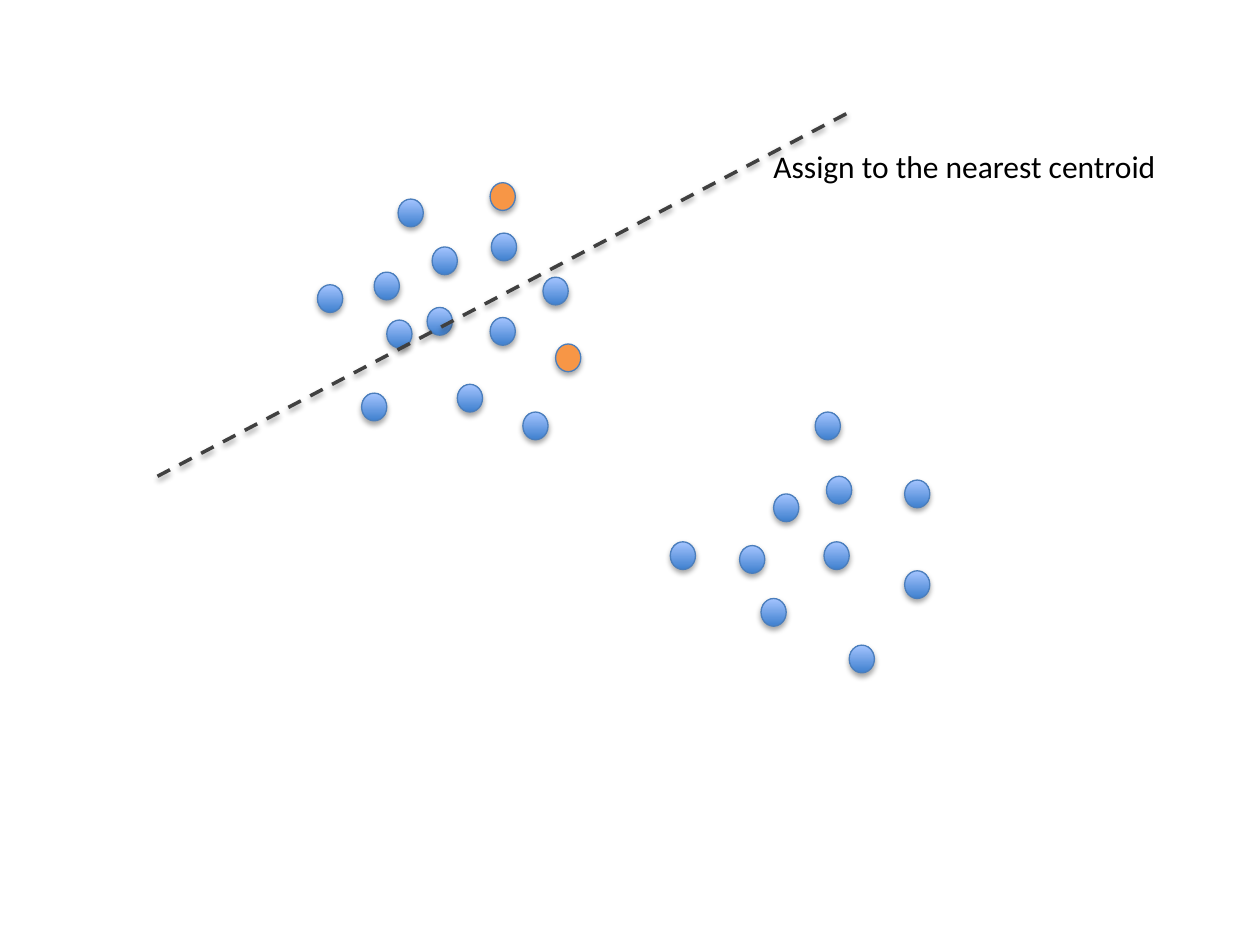
from lxml import etree
from pptx import Presentation
from pptx.dml.color import RGBColor
from pptx.enum.dml import MSO_LINE
from pptx.enum.shapes import MSO_CONNECTOR, MSO_SHAPE
from pptx.enum.text import MSO_AUTO_SIZE
from pptx.oxml import parse_xml
from pptx.oxml.ns import nsdecls
from pptx.util import Inches, Pt

COLORS = {
    "centroid": "F79646",
    "point_dark": "3F80CE",
    "point_light": "A4C4FF",
    "outline": "4B7EBC",
    "boundary": "404040",
    "text": "000000",
    "shadow": "000000",
}
DOT_W, DOT_H = 0.2, 0.22

# Left and top of each dot, in inches
CENTROIDS = [(4.41, 2.73), (3.89, 1.45)]
UPPER_CLUSTER = [
    (3.39, 2.44), (3.9, 1.85), (4.31, 2.2), (3.63, 3.05), (3.43, 1.96),
    (2.87, 3.12), (4.15, 3.27), (2.52, 2.26), (3.16, 1.58), (3.07, 2.54),
    (2.97, 2.16), (3.89, 2.52),
]
LOWER_CLUSTER = [
    (6.56, 3.78), (7.18, 4.53), (6.14, 3.92), (6.47, 3.27), (6.54, 4.3),
    (5.87, 4.33), (6.74, 5.12), (7.18, 3.81), (5.32, 4.3), (6.04, 4.75),
]


def add_shadow(shape, alpha, dist):
    """Cast a soft shadow straight down; call after the line is set."""
    shape._element.spPr.append(parse_xml(
        f'<a:effectLst {nsdecls("a")}>'
        f'<a:outerShdw blurRad="{Pt(3.1)}" dist="{Pt(dist)}" dir="5400000" rotWithShape="0">'
        f'<a:srgbClr val="{COLORS["shadow"]}"><a:alpha val="{alpha * 1000}"/></a:srgbClr>'
        '</a:outerShdw></a:effectLst>'))


def add_text(s, text, left, top, width, height, size=18, font="Calibri", color="text"):
    tf = s.shapes.add_textbox(Inches(left), Inches(top), Inches(width), Inches(height)).text_frame
    tf.word_wrap = False
    tf.auto_size = MSO_AUTO_SIZE.SHAPE_TO_FIT_TEXT
    r = tf.paragraphs[0].add_run()
    r.text = text
    r.font.size = Pt(size)
    r.font.name = font
    r.font.color.rgb = RGBColor.from_string(COLORS[color])


prs = Presentation()
prs.slide_width, prs.slide_height = Inches(10), Inches(7.5)
s = prs.slides.add_slide(prs.slide_layouts[6])

for left, top in CENTROIDS + UPPER_CLUSTER + LOWER_CLUSTER:
    dot = s.shapes.add_shape(MSO_SHAPE.OVAL, Inches(left), Inches(top),
                             Inches(DOT_W), Inches(DOT_H))
    if (left, top) in CENTROIDS:
        dot.fill.solid()
        dot.fill.fore_color.rgb = RGBColor.from_string(COLORS["centroid"])
    else:
        dot.fill.gradient()
        dot.fill.gradient_angle = 90
        for stop, name, position in zip(dot.fill.gradient_stops,
                                        ("point_dark", "point_light"), (0, 1)):
            stop.color.rgb = RGBColor.from_string(COLORS[name])
            stop.position = position
    dot.line.color.rgb = RGBColor.from_string(COLORS["outline"])
    dot.line.width = Pt(0.75)
    add_shadow(dot, alpha=35, dist=1.8)

add_text(s, "Assign to the nearest centroid", 6.04, 1.12, 3.27, 0.4)

boundary = s.shapes.add_connector(MSO_CONNECTOR.STRAIGHT, Inches(1.25), Inches(3.78),
                                  Inches(6.76), Inches(0.88))
boundary.line.color.rgb = RGBColor.from_string(COLORS["boundary"])
boundary.line.width = Pt(2)
boundary.line.dash_style = MSO_LINE.DASH
add_shadow(boundary, alpha=38, dist=1.6)

prs.save("out.pptx")
